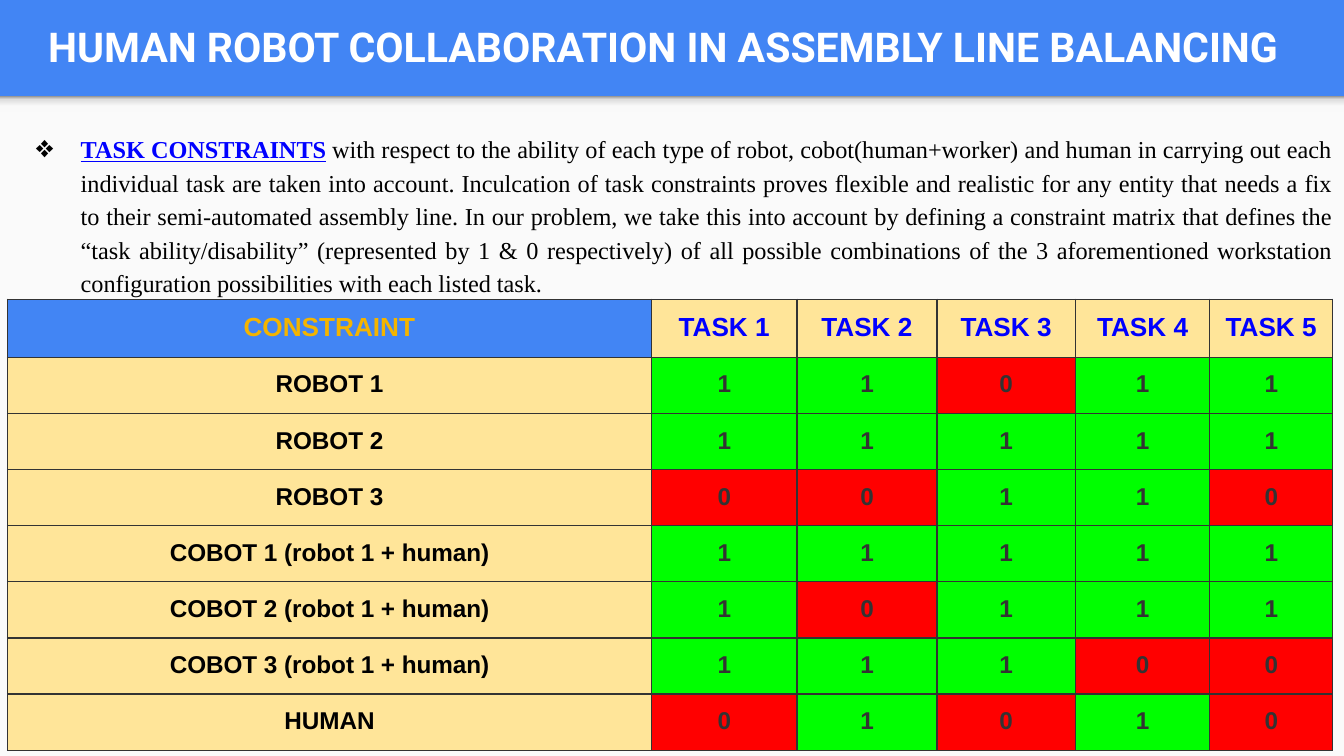
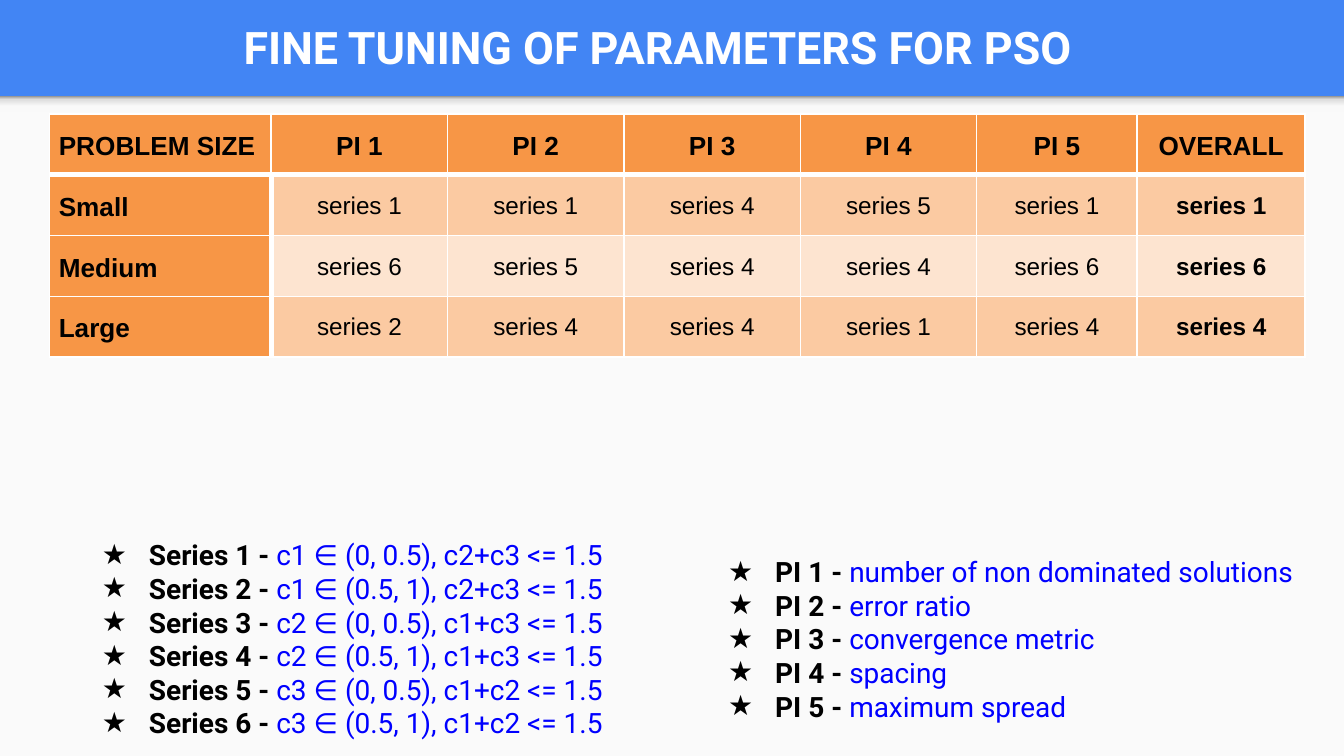
from dataclasses import dataclass

from lxml import etree
from pptx import Presentation
from pptx.dml.color import RGBColor
from pptx.enum.shapes import MSO_SHAPE as Shape
from pptx.enum.text import MSO_ANCHOR as Anchor, MSO_AUTO_SIZE as AutoSize, PP_ALIGN as Align
from pptx.oxml.ns import qn
from pptx.util import Pt


@dataclass(frozen=True)
class Theme:
    # Colours
    blue: str = "4285F4"
    panel: str = "FAFAFA"
    white: str = "FFFFFF"
    black: str = "000000"
    link: str = "0000FF"
    amber: str = "F4B400"
    cream: str = "FFE599"
    able: str = "00FF00"
    unable: str = "FF0000"
    grey: str = "333333"
    orange: str = "F79646"
    bands: tuple = ("FBCAA2", "FDE4D0")
    shade: tuple = ((0, "F9F9F9"), (36, "F9F9F9"), (80, "DEDEDE"), (100, "999999"))
    # Fonts and sizes
    heading: str = "Roboto"
    body: str = "Times New Roman"
    grid: str = "Arial"
    header_size: float = 14
    cell_size: float = 13
    body_size: float = 13
    list_size: float = 15


THEME = Theme()
WIDTH, HEIGHT, BAND = 720, 405, 51.6
INSET = 7.2

CONSTRAINT_COLUMNS = (345, 78, 75, 74.2, 72, 65.8)
CONSTRAINTS = (
    ("ROBOT 1", "11011"),
    ("ROBOT 2", "11111"),
    ("ROBOT 3", "00110"),
    ("COBOT 1 (robot 1 + human)", "11111"),
    ("COBOT 2 (robot 1 + human)", "10111"),
    ("COBOT 3 (robot 1 + human)", "11100"),
    ("HUMAN", "01010"),
)
TUNING_COLUMNS = (118.8, 94.5, 94.5, 94.5, 94.5, 86, 90)
BEST_SERIES = (
    ("Small", (1, 1, 4, 5, 1, 1)),
    ("Medium", (6, 5, 4, 4, 6, 6)),
    ("Large", (2, 4, 4, 1, 4, 4)),
)
INDICATORS = ("number of non dominated solutions", "error ratio",
              "convergence metric", "spacing", "maximum spread")
CONSTRAINT_NOTE = (
    " with respect to the ability of each type of robot, cobot(human+worker) and human in "
    "carrying out each individual task are taken into account. Inculcation of task constraints "
    "proves flexible and realistic for any entity that needs a fix to their semi-automated "
    "assembly line. In our problem, we take this into account by defining a constraint matrix "
    "that defines the “task ability/disability” (represented by 1 & 0 respectively) of all "
    "possible combinations of the 3 aforementioned workstation configuration possibilities "
    "with each listed task."
)


def style(font, name, size, color, bold=False):
    font.name, font.size, font.bold = name, Pt(size), bold
    font.color.rgb = RGBColor.from_string(color)


def set_insets(frame, side=INSET):
    frame.margin_left = frame.margin_right = Pt(side)
    frame.margin_top = frame.margin_bottom = Pt(INSET)


def add_color(parent, color):
    etree.SubElement(parent, qn("a:srgbClr"), val=color)


# Shared frame: light panel, shaded edge and title
def add_panel(slide, height, color):
    panel = slide.shapes.add_shape(Shape.RECTANGLE, 0, Pt(BAND), Pt(WIDTH), Pt(height))
    panel.shadow.inherit = False
    panel.line.fill.background()
    panel.fill.solid()
    panel.fill.fore_color.rgb = RGBColor.from_string(color)
    return panel


def shade_edge(panel):
    panel.fill.gradient()
    panel.fill.gradient_angle = 90
    stops = panel._element.spPr.find(".//" + qn("a:gsLst"))
    for stop in list(stops):
        stops.remove(stop)
    for percent, color in THEME.shade:
        add_color(etree.SubElement(stops, qn("a:gs"), pos=str(percent * 1000)), color)


def add_titled_slide(deck, text, size):
    slide = deck.slides.add_slide(deck.slide_layouts[5])
    add_panel(slide, HEIGHT - BAND, THEME.panel)
    shade_edge(add_panel(slide, 8.6, THEME.panel))
    title = slide.shapes.title
    title.left, title.top, title.width, title.height = Pt(7.8), Pt(1.2), Pt(695), Pt(47.5)
    frame = title.text_frame
    frame.text = text
    frame.auto_size = AutoSize.NONE
    frame.vertical_anchor = Anchor.MIDDLE
    set_insets(frame)
    para = frame.paragraphs[0]
    para.alignment = Align.CENTER
    style(para.runs[0].font, THEME.heading, size, THEME.white, True)
    return slide


# Bulleted text
def add_bullet(para, mark, font, left, hanging):
    props = para._p.get_or_add_pPr()
    props.set("marL", str(Pt(left)))
    props.set("indent", str(-Pt(hanging)))
    add_color(etree.SubElement(props, qn("a:buClr")), THEME.black)
    etree.SubElement(props, qn("a:buFont"), typeface=font)
    etree.SubElement(props, qn("a:buChar"), char=mark)


def add_text_box(slide, left, top, width, height):
    box = slide.shapes.add_textbox(Pt(left), Pt(top), Pt(width), Pt(height))
    frame = box.text_frame
    frame.word_wrap = True
    set_insets(frame)
    return frame


def add_span(para, text, name, size, color, bold=False):
    span = para.add_run()
    span.text = text
    style(span.font, name, size, color, bold)
    return span


def add_star_list(slide, place, entries):
    frame = add_text_box(slide, *place)
    for index, (label, meaning) in enumerate(entries):
        para = frame.add_paragraph() if index else frame.paragraphs[0]
        add_bullet(para, "★", THEME.heading, 108, 25.2)
        add_span(para, f"{label} - ", THEME.heading, THEME.list_size, THEME.black, True)
        add_span(para, meaning, THEME.heading, THEME.list_size, THEME.link)


# Tables
def add_grid(slide, left, top, columns, row_heights):
    shape = slide.shapes.add_table(len(row_heights), len(columns), Pt(left), Pt(top),
                                   Pt(sum(columns)), Pt(sum(row_heights)))
    table = shape.table
    table.first_row = table.horz_banding = False
    for column, width in zip(table.columns, columns):
        column.width = Pt(width)
    for row, height in zip(table.rows, row_heights):
        row.height = Pt(height)
    return table


def set_borders(cell, color, widths):
    props = cell._tc.get_or_add_tcPr()
    for side, width in zip(("lnL", "lnR", "lnT", "lnB"), widths):
        line = etree.SubElement(props, qn(f"a:{side}"), w=str(Pt(width)))
        add_color(etree.SubElement(line, qn("a:solidFill")), color)


def fill_cell(cell, text, fill, color, size, bold=True, align=Align.CENTER, side=INSET):
    cell.fill.solid()
    cell.fill.fore_color.rgb = RGBColor.from_string(fill)
    set_insets(cell, side)
    cell.text_frame.text = text
    para = cell.text_frame.paragraphs[0]
    para.alignment = align
    style(para.runs[0].font, THEME.grid, size, color, bold)
    return para


def add_constraint_table(slide):
    table = add_grid(slide, 4, 160.3, CONSTRAINT_COLUMNS, [30] * (len(CONSTRAINTS) + 1))
    for cell in table.iter_cells():
        set_borders(cell, THEME.grey, [0.75] * 4)
    fill_cell(table.cell(0, 0), "CONSTRAINT", THEME.blue, THEME.amber, THEME.header_size)
    for task in range(1, len(CONSTRAINT_COLUMNS)):
        fill_cell(table.cell(0, task), f"TASK {task}", THEME.cream, THEME.link, THEME.header_size)
    for row, (worker, abilities) in enumerate(CONSTRAINTS, 1):
        fill_cell(table.cell(row, 0), worker, THEME.cream, THEME.black, THEME.cell_size)
        for task, ability in enumerate(abilities, 1):
            fill = THEME.able if ability == "1" else THEME.unable
            fill_cell(table.cell(row, task), ability, fill, THEME.grey, THEME.cell_size)


def add_tuning_table(slide):
    header = ("PROBLEM SIZE", *(f"PI {i}" for i in range(1, 6)), "OVERALL")
    rows = [header] + [(size, *(f"series {n}" for n in best)) for size, best in BEST_SERIES]
    last = len(header) - 1
    table = add_grid(slide, 26.5, 61.2, TUNING_COLUMNS, [31.5] + [32] * len(BEST_SERIES))
    for r, texts in enumerate(rows):
        for c, text in enumerate(texts):
            cell = table.cell(r, c)
            # Heavier rules set off the header row and the first column
            set_borders(cell, THEME.white, (3 if r and c == 1 else 1, 3 if r and c == 0 else 1,
                                            3 if r == 1 else 1, 3 if r == 0 else 1))
            heading = r == 0 or c == 0
            para = fill_cell(cell, text,
                             THEME.orange if heading else THEME.bands[(r - 1) % 2],
                             THEME.black,
                             THEME.header_size if heading else THEME.cell_size,
                             heading or c == last,
                             Align.CENTER if c else Align.LEFT, 5)
            para.line_spacing = 1.15


# Slides
def build_constraints(deck):
    slide = add_titled_slide(deck, "HUMAN ROBOT COLLABORATION IN ASSEMBLY LINE BALANCING", 22)
    para = add_text_box(slide, 0.2, 62.6, WIDTH, 103).paragraphs[0]
    add_bullet(para, "❖", THEME.body, 36, 24.5)
    para.alignment = Align.JUSTIFY
    para.line_spacing = 1.15
    lead = add_span(para, "TASK CONSTRAINTS", THEME.body, THEME.body_size, THEME.link, True)
    lead.font.underline = True
    add_span(para, CONSTRAINT_NOTE, THEME.body, THEME.body_size, THEME.black)
    add_constraint_table(slide)


def build_tuning(deck):
    slide = add_titled_slide(deck, "FINE TUNING OF PARAMETERS FOR PSO ", 24)
    add_tuning_table(slide)
    series = []
    for k in range(3):
        others = "+".join(f"c{n}" for n in range(1, 4) if n != k + 1)
        for half, span in enumerate(("(0, 0.5)", "(0.5, 1)"), 1):
            series.append((f"Series {2 * k + half}", f"c{k + 1} ∈ {span}, {others} <= 1.5"))
    add_star_list(slide, (-35.3, 281, 373, 124), series)
    indicators = [(f"PI {i}", meaning) for i, meaning in enumerate(INDICATORS, 1)]
    add_star_list(slide, (300.2, 290, 402.5, 105), indicators)


def main():
    deck = Presentation()
    deck.slide_width, deck.slide_height = Pt(WIDTH), Pt(HEIGHT)
    backdrop = deck.slide_master.background.fill
    backdrop.solid()
    backdrop.fore_color.rgb = RGBColor.from_string(THEME.blue)
    build_constraints(deck)
    build_tuning(deck)
    deck.save("out.pptx")


if __name__ == "__main__":
    main()
